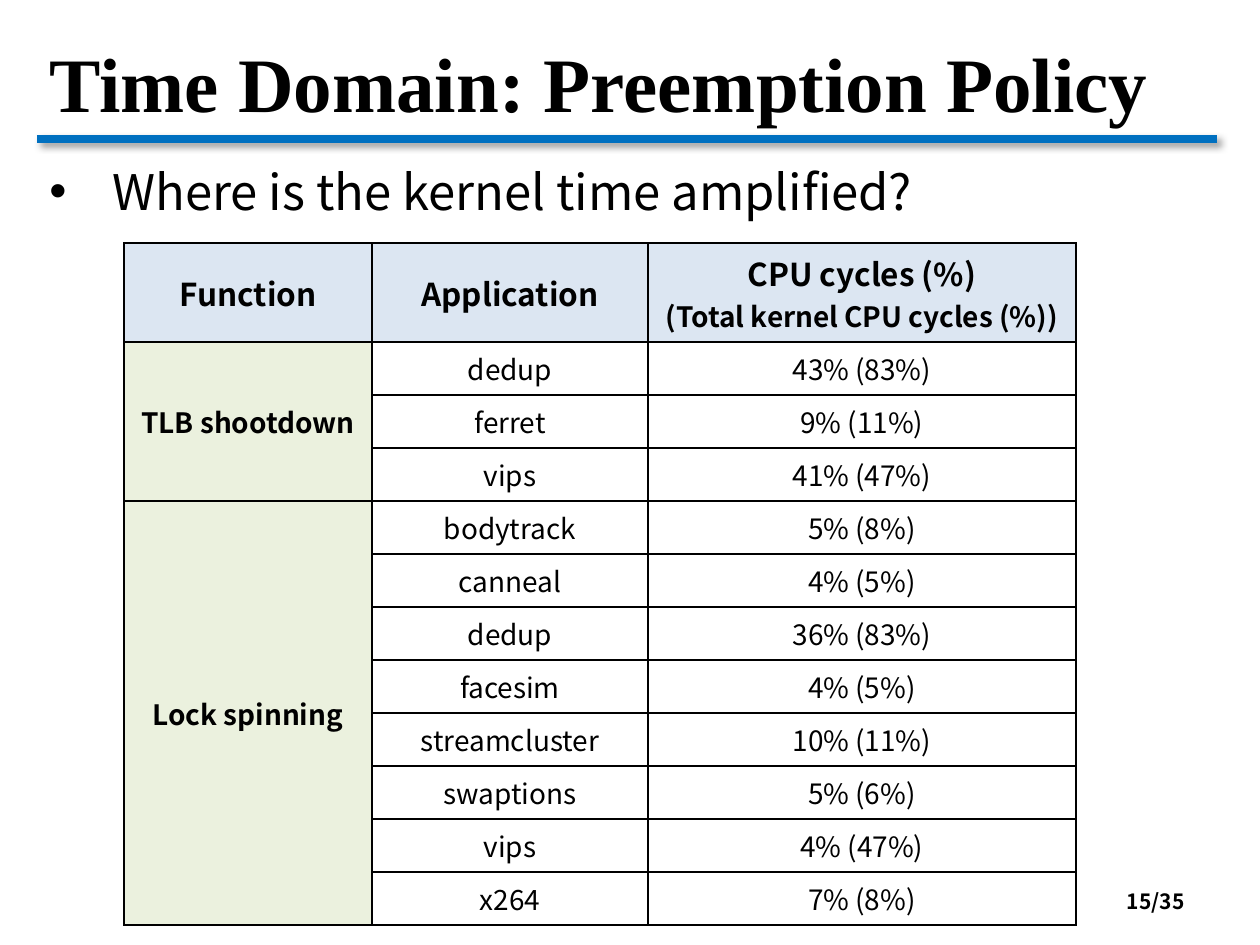
from dataclasses import dataclass

from lxml import etree
from pptx import Presentation
from pptx.dml.color import RGBColor
from pptx.enum import shapes, text
from pptx.oxml import parse_xml
from pptx.oxml.ns import nsdecls, qn
from pptx.util import Emu, Pt

PX = 914400 / 126
SANS, SERIF = "Noto Sans CJK KR", "Times New Roman"
BLACK, BLUE, HEADER_FILL, GROUP_FILL = "000000", "0070C0", "DCE6F2", "EBF1DE"


@dataclass
class Label:
    content: str
    box: tuple[int, int, int, int]
    size: int
    font: str = SANS
    bold: bool = False
    align: text.PP_ALIGN = text.PP_ALIGN.LEFT
    anchor: text.MSO_ANCHOR = text.MSO_ANCHOR.MIDDLE
    bullet_indent: int = 0


@dataclass
class Group:
    function: str
    results: list[tuple[str, str]]


HEADINGS = ["Function", "Application", "CPU cycles (%)\n(Total kernel CPU cycles (%))"]
GROUPS = [
    Group("TLB shootdown", [
        ("dedup", "43% (83%)"), ("ferret", "9% (11%)"), ("vips", "41% (47%)"),
    ]),
    Group("Lock spinning", [
        ("bodytrack", "5% (8%)"), ("canneal", "4% (5%)"),
        ("dedup", "36% (83%)"), ("facesim", "4% (5%)"),
        ("streamcluster", "10% (11%)"), ("swaptions", "5% (6%)"),
        ("vips", "4% (47%)"), ("x264", "7% (8%)"),
    ]),
]
LABELS = [
    Label("Time Domain: Preemption Policy", (37, 18, 1181, 127), 44, SERIF, True),
    Label("Where is the kernel time amplified?", (37, 155, 1181, 694), 28,
          anchor=text.MSO_ANCHOR.TOP, bullet_indent=63),
    Label("15/35", (903, 876, 294, 50), 12, bold=True, align=text.PP_ALIGN.RIGHT),
]
TABLE_LEFT, TABLE_TOP = 124, 243
COLUMN_WIDTHS = [248, 276, 428]
HEADER_HEIGHT, ROW_HEIGHT = 99, 53


def px(length: int) -> Emu:
    return Emu(round(length * PX))


def color(value: str) -> RGBColor:
    return RGBColor.from_string(value)


def style(paragraph, size: int, font: str, bold: bool, align) -> None:
    paragraph.alignment = align
    for run in paragraph.runs:
        run.font.size, run.font.name, run.font.bold = Pt(size), font, bold
        run.font.color.rgb = color(BLACK)
        east_asian = etree.SubElement(run.font._element, qn("a:ea"))
        east_asian.set("typeface", font)


def draw_label(slide, label: Label) -> None:
    frame = slide.shapes.add_textbox(*map(px, label.box)).text_frame
    frame.word_wrap = True
    frame.vertical_anchor = label.anchor
    frame.text = label.content
    paragraph = frame.paragraphs[0]
    if label.bullet_indent:
        properties = paragraph._p.get_or_add_pPr()
        indent = px(label.bullet_indent)
        properties.set("marL", str(indent))
        properties.set("indent", str(-indent))
        etree.SubElement(properties, qn("a:buFont")).set("typeface", "Arial")
        etree.SubElement(properties, qn("a:buChar")).set("char", "•")
    style(paragraph, label.size, label.font, label.bold, label.align)


def draw_rule(slide) -> None:
    rule = slide.shapes.add_connector(
        shapes.MSO_CONNECTOR.STRAIGHT, px(37), px(139), px(1217), px(139))
    rule.line.color.rgb = color(BLUE)
    rule.line.width = Pt(4.5)
    rule._element.spPr.append(parse_xml(
        f'<a:effectLst {nsdecls("a")}><a:outerShdw blurRad="{Pt(4)}" dist="{Pt(3)}" '
        f'dir="2700000" algn="tl" rotWithShape="0"><a:srgbClr val="{BLACK}">'
        '<a:alpha val="40000"/></a:srgbClr></a:outerShdw></a:effectLst>'))


def add_borders(cell) -> None:
    properties = cell._tc.get_or_add_tcPr()
    for side in "LRTB":
        properties.append(parse_xml(
            f'<a:ln{side} {nsdecls("a")} w="{Pt(1)}"><a:solidFill>'
            f'<a:srgbClr val="{BLACK}"/></a:solidFill></a:ln{side}>'))


def fill_cell(cell, content: str, sizes: tuple[int, ...] = (16,),
              bold: bool = False, fill: str = "") -> None:
    cell.text_frame.text = content
    cell.vertical_anchor = text.MSO_ANCHOR.MIDDLE
    for paragraph, size in zip(cell.text_frame.paragraphs, sizes):
        style(paragraph, size, SANS, bold, text.PP_ALIGN.CENTER)
    if fill:
        cell.fill.solid()
        cell.fill.fore_color.rgb = color(fill)
    else:
        cell.fill.background()


def draw_table(slide) -> None:
    row_heights = [HEADER_HEIGHT] + [ROW_HEIGHT] * sum(len(g.results) for g in GROUPS)
    table = slide.shapes.add_table(
        len(row_heights), len(COLUMN_WIDTHS), px(TABLE_LEFT), px(TABLE_TOP),
        px(sum(COLUMN_WIDTHS)), px(sum(row_heights))).table
    table.first_row = table.horz_banding = False
    for column, width in zip(table.columns, COLUMN_WIDTHS):
        column.width = px(width)
    for row, height in zip(table.rows, row_heights):
        row.height = px(height)
    for cell in table.iter_cells():
        add_borders(cell)

    # Header row
    for column, heading in enumerate(HEADINGS):
        fill_cell(table.cell(0, column), heading, (18, 16), True, HEADER_FILL)

    # Each function spans the rows of its applications
    first = 1
    for group in GROUPS:
        last = first + len(group.results) - 1
        function_cell = table.cell(first, 0)
        function_cell.merge(table.cell(last, 0))
        fill_cell(function_cell, group.function, bold=True, fill=GROUP_FILL)
        for row, (application, cycles) in enumerate(group.results, first):
            fill_cell(table.cell(row, 1), application)
            fill_cell(table.cell(row, 2), cycles)
        first = last + 1


def main() -> None:
    deck = Presentation()
    deck.slide_width, deck.slide_height = px(1260), px(945)
    slide = deck.slides.add_slide(deck.slide_layouts[6])
    draw_rule(slide)
    for label in LABELS:
        draw_label(slide, label)
    draw_table(slide)
    deck.save("out.pptx")


if __name__ == "__main__":
    main()
